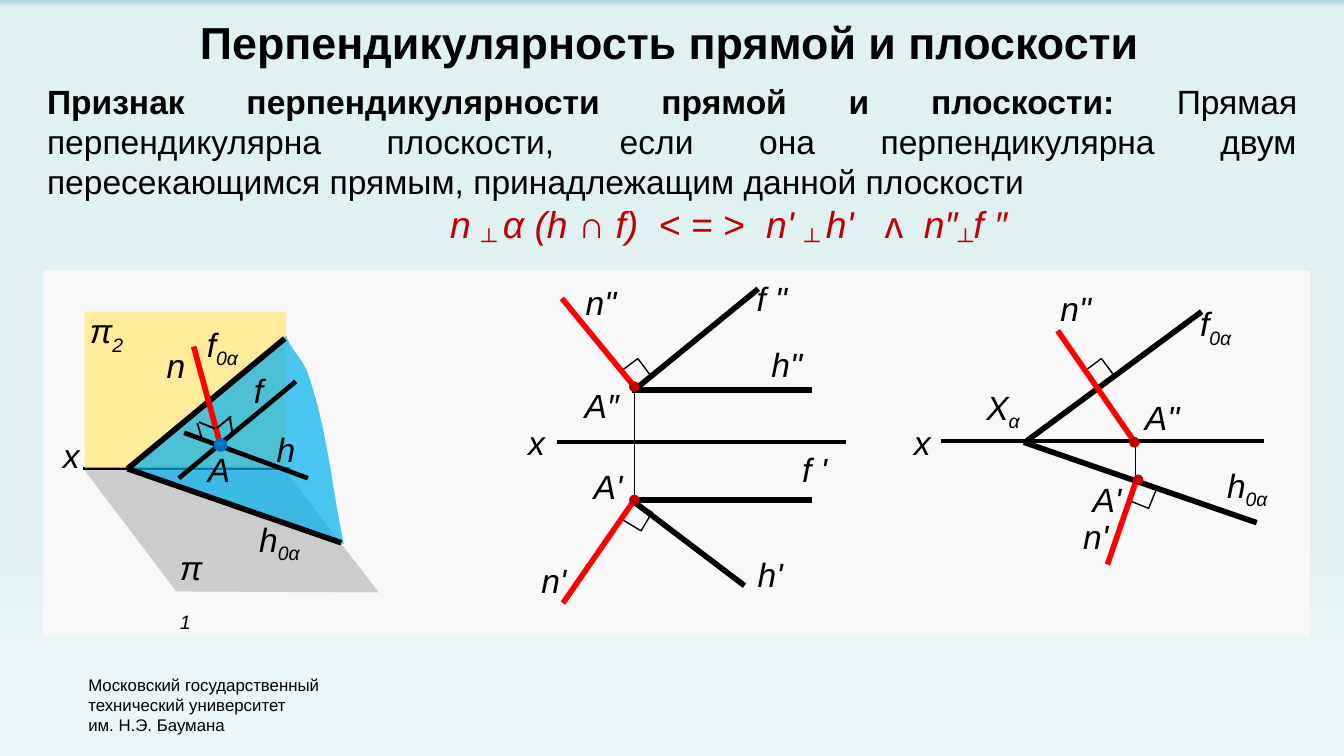
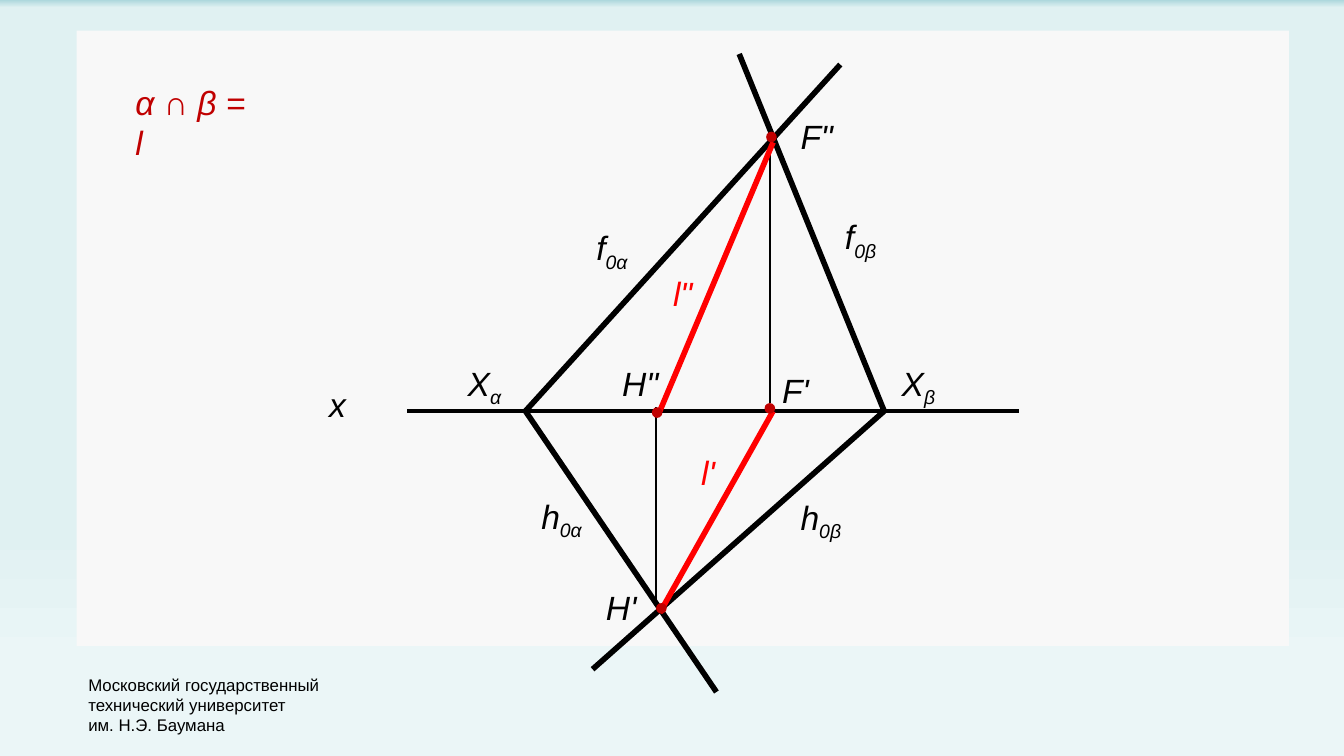
import lxml.etree
import pptx
import pptx.dml.color
import pptx.enum.shapes
import pptx.enum.text
import pptx.oxml.ns
import pptx.util

Cm = pptx.util.Cm
Pt = pptx.util.Pt
RGBColor = pptx.dml.color.RGBColor
Kind = pptx.enum.shapes.MSO_SHAPE
qn = pptx.oxml.ns.qn

BLACK = RGBColor(0x00, 0x00, 0x00)
RED = RGBColor(0xFF, 0x00, 0x00)
CRIMSON = RGBColor(0xC0, 0x00, 0x00)
PANEL = RGBColor(0xF8, 0xF8, 0xF8)
GROUND = RGBColor(0xCC, 0xCC, 0xCC)
WALL = RGBColor(0xFF, 0xEB, 0x99)
PLANE = RGBColor(0x00, 0xB0, 0xF0)
POINT = RGBColor(0x00, 0x70, 0xC0)
SKY_TOP = RGBColor(0xAC, 0xD7, 0xDC)
SKY = RGBColor(0xE0, 0xF1, 0xF2)
SKY_LOW = RGBColor(0xEB, 0xF6, 0xF7)

FONT = "Arial"
LABEL_SIZE = 18
FORMULA_SIZE = 20
LABEL_HEIGHT = 1.02
DOT = 0.2
CORNER = 0.41


def add_text(page, frame, paragraphs, size, color=BLACK, wrap=False):
    box = page.shapes.add_textbox(*map(Cm, frame))
    box.text_frame.word_wrap = wrap
    for index, spans in enumerate(paragraphs):
        para = box.text_frame.paragraphs[0] if index == 0 else box.text_frame.add_paragraph()
        for text, style in spans:
            span = para.add_run()
            span.text = text
            span.font.name = FONT
            span.font.size = Pt(size)
            span.font.color.rgb = color
            span.font.bold = "b" in style
            span.font.italic = "i" in style
            if "_" in style:
                span.font._element.set("baseline", "-25000")
            if "+" in style:
                span.font._element.set("spc", str(550 * style.count("+")))
    return box


def add_line(page, ends, color, width):
    line = page.shapes.add_connector(pptx.enum.shapes.MSO_CONNECTOR.STRAIGHT, *map(Cm, ends))
    line.line.color.rgb = color
    line.line.width = Pt(width)
    lxml.etree.SubElement(line._element.spPr, qn("a:effectLst"))


deck = pptx.Presentation()
deck.slide_width = Cm(25.4)
deck.slide_height = Cm(14.29)

sky = deck.slide_master.background.fill
sky.gradient()
sky.gradient_angle = 270
stops = next(deck.slide_master.element.iter(qn("a:gsLst")))
for stop in list(stops):
    stops.remove(stop)
for percent, color in ((0, SKY_TOP), (1, SKY), (69, SKY), (88, SKY_LOW), (100, SKY_LOW)):
    stop = lxml.etree.SubElement(stops, qn("a:gs"), pos=str(percent * 1000))
    lxml.etree.SubElement(stop, qn("a:srgbClr"), val=str(color))

theorem_page, crossing_page = [deck.slides.add_slide(deck.slide_layouts[6]) for _ in range(2)]

solids = []
for page, frame in (
    (theorem_page, (0.81, 5.11, 23.95, 6.91)),
    (crossing_page, (1.45, 0.58, 22.91, 11.63)),
):
    solids.append((page.shapes.add_shape(Kind.RECTANGLE, *map(Cm, frame)), PANEL))
    add_text(page, (1.42, 12.62, 5.03, 1.4), [
        [("Московский государственный", "")],
        [("технический университет", "")],
        [("им. Н.Э. Баумана", "")],
    ], 9)

add_line(theorem_page, (5.49, 8.86, 1.57, 8.86), BLACK, 1.5)

curtain = [(2.49, 8.86), (5.41, 6.35)]
for controls in (
    ((5.49, 6.6), (5.74, 6.81), (5.82, 7.06)),
    ((6.2, 8.15), (6.27, 9.22), (6.5, 10.29)),
):
    anchors = (curtain[-1], *controls)
    for step in range(1, 11):
        t = step / 10
        weights = ((1 - t) ** 3, 3 * t * (1 - t) ** 2, 3 * t * t * (1 - t), t ** 3)
        curtain.append(tuple(
            sum(weight * anchor[axis] for weight, anchor in zip(weights, anchors))
            for axis in (0, 1)
        ))

ground = [(1.6, 8.89), (5.38, 8.89), (7.16, 11.2), (3.33, 11.18)]
for outline, color in ((ground, GROUND), (curtain, PLANE)):
    if color == PLANE:
        wall = theorem_page.shapes.add_shape(Kind.RECTANGLE, Cm(1.6), Cm(5.89), Cm(3.81), Cm(2.95))
        solids.append((wall, WALL))
    corners = [(Cm(x), Cm(y)) for x, y in outline]
    builder = theorem_page.shapes.build_freeform(*corners[0])
    builder.add_line_segments(corners[1:], close=True)
    solids.append((builder.convert_to_shape(), color))
plane_shape = solids[-1][0]

for left, top, turn in ((11.81, 6.86, 53), (11.84, 9.55, 31), (20.57, 6.86, 53), (21.39, 9.14, 22)):
    square = theorem_page.shapes.add_shape(Kind.RECTANGLE, Cm(left), Cm(top), Cm(CORNER), Cm(CORNER))
    square.rotation = turn
    square.shadow.inherit = False
    square.fill.background()
    square.line.color.rgb = BLACK
    square.line.width = Pt(0.75)

for page, color, width, lines in (
    (theorem_page, BLACK, 2, ((10.52, 8.36, 15.98, 8.36), (17.78, 8.33, 23.88, 8.33))),
    (theorem_page, BLACK, 3, (
        (11.94, 7.37, 15.34, 7.37), (11.99, 7.37, 14.33, 5.46),
        (11.94, 9.45, 15.34, 9.45), (11.96, 9.47, 14.07, 11.07),
        (22.71, 5.89, 19.41, 8.33), (19.35, 8.36, 23.75, 9.88),
        (2.41, 8.86, 5.38, 6.4), (2.41, 8.86, 6.45, 10.26),
    )),
    (theorem_page, BLACK, 2.5, ((3.48, 8.18, 5.82, 9.04), (3.38, 9.04, 5.59, 7.21))),
    (theorem_page, RED, 3, (
        (12.04, 7.37, 10.62, 5.64), (12.01, 9.42, 10.64, 11.4),
        (19.99, 6.25, 21.46, 8.38), (21.49, 9.04, 20.93, 10.67),
        (4.17, 8.43, 3.66, 6.55),
    )),
    (theorem_page, BLACK, 0.75, ((21.46, 8.28, 21.46, 9.12), (11.99, 9.42, 11.99, 7.42))),
    (theorem_page, BLACK, 1, (
        (4.09, 8.1, 4.37, 7.87), (4.34, 7.87, 4.39, 8.18),
        (3.81, 8.28, 3.73, 8), (3.76, 7.98, 4.06, 8.1),
    )),
    (crossing_page, BLACK, 1.75, ((7.7, 7.77, 19.25, 7.77),)),
    (crossing_page, BLACK, 3, (
        (15.88, 1.22, 9.93, 7.77), (9.93, 7.77, 13.54, 13.08),
        (16.71, 7.77, 13.97, 1.02), (16.71, 7.77, 11.2, 12.65),
    )),
    (crossing_page, BLACK, 0.75, ((12.4, 11.46, 12.4, 7.7), (14.55, 2.69, 14.55, 7.62))),
    (crossing_page, RED, 3, ((12.47, 7.77, 14.61, 2.69), (14.61, 7.77, 12.47, 11.58))),
):
    for ends in lines:
        add_line(page, ends, color, width)

for page, color, size, places in (
    (theorem_page, CRIMSON, DOT, ((21.41, 8.97), (21.34, 8.26), (11.89, 9.35), (11.89, 7.21))),
    (theorem_page, POINT, 0.26, ((4.04, 8.28),)),
    (crossing_page, CRIMSON, DOT, ((12.32, 7.7), (14.45, 7.62), (14.48, 2.49), (12.4, 11.4))),
):
    for left, top in places:
        dot = page.shapes.add_shape(Kind.OVAL, Cm(left), Cm(top), Cm(size), Cm(size))
        solids.append((dot, color))

for shape, color in solids:
    shape.shadow.inherit = False
    shape.fill.solid()
    shape.fill.fore_color.rgb = color
    shape.line.fill.background()
plane_color = next(plane_shape._element.spPr.iter(qn("a:srgbClr")))
lxml.etree.SubElement(plane_color, qn("a:alpha"), val="70000")

for page, color, wrap, labels in (
    (theorem_page, BLACK, False, (
        ("h", "0α", 22.94, 8.66, 1.35), ("f", "0α", 22.43, 5.61, 1.3),
        ("X", "α", 18.39, 7.19, 1.22), ("n\"", "", 19.79, 5.31, 1.12),
        ("A\"", "", 21.39, 7.37, 1.22), ("n'", "", 20.22, 9.63, 0.99),
        ("A'", "", 20.4, 8.92, 1.12), ("x", "", 17.02, 7.85, 0.84),
        ("n'", "", 9.98, 10.46, 0.99), ("f '", "", 14.91, 8.36, 1.12),
        ("h'", "", 14.07, 10.34, 0.99), ("A'", "", 10.97, 8.69, 1.12),
        ("n\"", "", 10.82, 5.21, 1.14), ("h\"", "", 14.33, 6.38, 1.14),
        ("f \"", "", 14.05, 5.13, 1.24), ("A″", "", 10.8, 7.16, 1.19),
        ("x", "", 9.73, 7.85, 0.84), ("n", "", 2.9, 6.4, 0.84),
        ("f", "0α", 3.66, 5.99, 1.3), ("h", "0α", 4.65, 9.68, 1.35),
        ("x", "", 0.94, 8.1, 0.84), ("π", "2", 1.45, 5.74, 1.17),
        ("A", "", 3.68, 8.36, 0.94), ("f", "", 4.55, 6.86, 0.94),
        ("h", "", 4.98, 7.98, 0.84),
    )),
    (theorem_page, BLACK, True, (("π", "1", 3.15, 10.21, 1.09),)),
    (crossing_page, BLACK, True, (
        ("F\"", "", 14.88, 2.06, 1.22), ("X", "β", 16.79, 6.73, 1.63),
        ("X", "α", 8.59, 6.73, 1.27), ("f", "0α", 11.02, 4.17, 1.6),
        ("f", "0β", 15.72, 3.96, 1.42), ("h", "0α", 9.98, 9.25, 1.47),
        ("h", "0β", 14.88, 9.27, 1.63), ("H\"", "", 11.51, 6.73, 1.3),
        ("F'", "", 14.53, 6.86, 1.04), ("H'", "", 11.2, 10.97, 1.4),
        ("x", "", 5.97, 7.14, 0.79),
    )),
    (crossing_page, RED, True, (("l\"", "", 12.47, 5.03, 1.04), ("l'", "", 13, 8.41, 1.04))),
):
    for name, index, left, top, width in labels:
        spans = [(name, "i")] + ([(index, "i_")] if index else [])
        add_text(page, (left, top, width, LABEL_HEIGHT), [spans], LABEL_SIZE, color, wrap)

add_text(theorem_page, (3.53, 0.15, 20.02, 1.3), [
    [("Перпендикулярность прямой и плоскости", "b")],
], 24, wrap=True)

statement = add_text(theorem_page, (0.64, 1.4, 24.13, 3.51), [
    [
        ("Признак перпендикулярности прямой и плоскости:", "b"),
        (" Прямая перпендикулярна плоскости, если она перпендикулярна двум "
         "пересекающимся прямым, принадлежащим данной плоскости", ""),
    ],
    [
        ("n ", "i"), ("┴ ", "i_"), ("α (h ", "i"), ("∩ ", ""), ("f)", "i"), (" ", "+"),
        ("< = >", ""), (" ", "+"), ("n' ", "i"), ("┴ ", "i_"), ("h'", "i"), (" ", "++"),
        ("ᴧ", ""), (" ", "+"), ("n″", "i"), ("┴", "i_"), ("f ″", "i"),
    ],
], LABEL_SIZE, wrap=True)
for para in statement.text_frame.paragraphs:
    para.alignment = pptx.enum.text.PP_ALIGN.JUSTIFY
formula = statement.text_frame.paragraphs[1]
formula._element.get_or_add_pPr().set("marL", str(Cm(7.62)))
for span in formula.runs:
    span.font.size = Pt(FORMULA_SIZE)
    span.font.color.rgb = CRIMSON

add_text(crossing_page, (2.31, 1.42, 2.77, LABEL_HEIGHT), [
    [("α ", "i"), ("∩ ", ""), ("β = l", "i")],
], LABEL_SIZE, CRIMSON, True)

deck.save("out.pptx")
